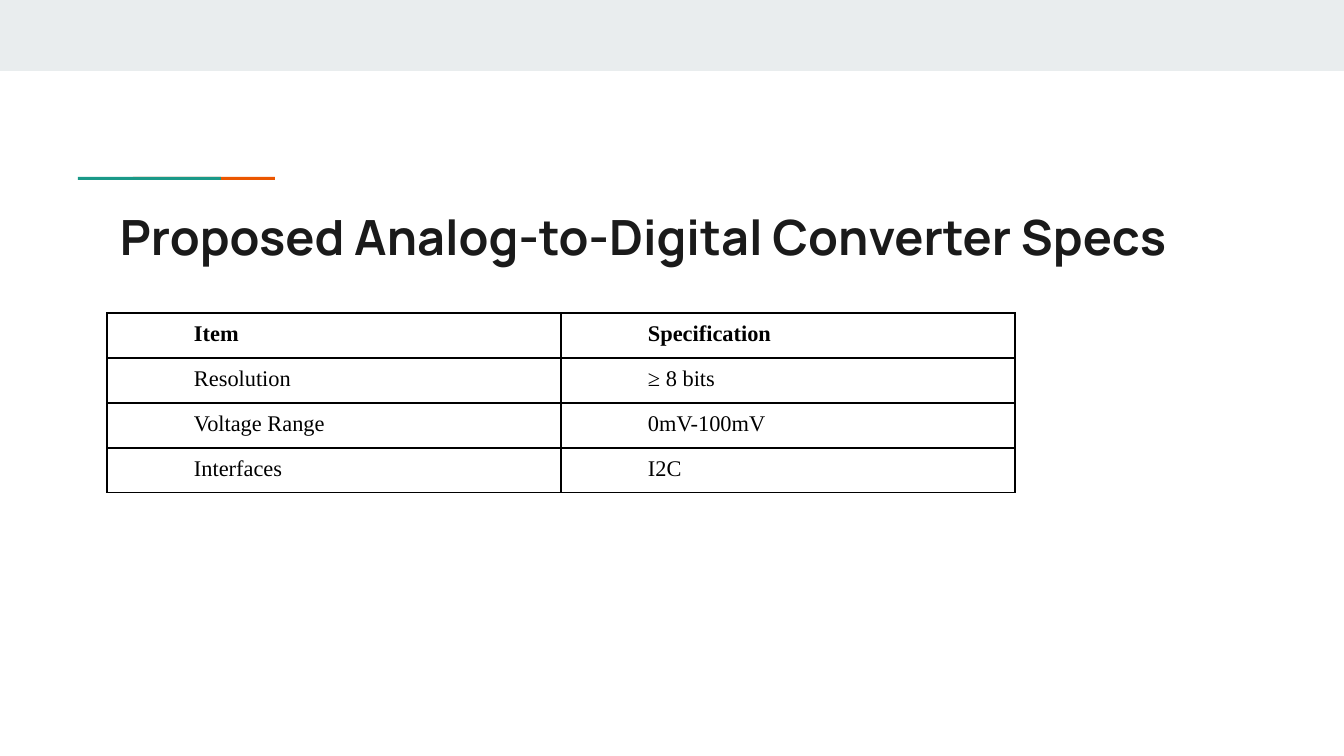
from pptx import Presentation
from pptx.dml.color import RGBColor
from pptx.enum.shapes import MSO_SHAPE
from pptx.enum.text import MSO_ANCHOR
from pptx.oxml import parse_xml
from pptx.oxml.ns import nsdecls
from pptx.util import Pt

EMU_PER_PX = 914400 / 134.4
COLORS = {
    "band": "E9EDEE",
    "orange": "EB5600",
    "teal": "1A9988",
    "title": "1A1A1A",
    "black": "000000",
}
SPECS = [
    ("Item", "Specification"),
    ("Resolution", "≥ 8 bits"),
    ("Voltage Range", "0mV-100mV"),
    ("Interfaces", "I2C"),
]
TITLE_FONT = {"name": "Manrope", "size": Pt(26), "bold": True}
CELL_FONT = {"name": "Times New Roman", "size": Pt(12)}
COL_W, ROW_H = 454, 43
CELL_INSET, CELL_INDENT = 9, 78


def px(n):
    return round(n * EMU_PER_PX)


def box(*lengths):
    return [px(n) for n in lengths]


def add_rect(s, color, *lengths):
    sp = s.shapes.add_shape(MSO_SHAPE.RECTANGLE, *box(*lengths))
    sp.shadow.inherit = False
    sp.fill.solid()
    sp.fill.fore_color.rgb = RGBColor.from_string(COLORS[color])
    sp.line.fill.background()


def set_insets(target, inset):
    for side in ("left", "top", "right", "bottom"):
        setattr(target, f"margin_{side}", px(inset))


def write(tf, text, font, color):
    r = tf.paragraphs[0].add_run()
    r.text = text
    for name, value in font.items():
        setattr(r.font, name, value)
    r.font.color.rgb = RGBColor.from_string(COLORS[color])


def add_title(s, text, *lengths):
    tf = s.shapes.add_textbox(*box(*lengths)).text_frame
    tf.word_wrap = True
    tf.vertical_anchor = MSO_ANCHOR.TOP
    set_insets(tf, 13)
    write(tf, text, TITLE_FONT, "title")


def add_borders(cell):
    """Put a 1 pt line on each side; lines must precede the fill in tcPr."""
    tc_pr = cell._tc.get_or_add_tcPr()
    for i, side in enumerate("LRTB"):
        tc_pr.insert(i, parse_xml(
            f'<a:ln{side} {nsdecls("a")} w="{Pt(1)}"><a:solidFill>'
            f'<a:srgbClr val="{COLORS["black"]}"/></a:solidFill></a:ln{side}>'))


def add_spec_table(s, left, top):
    n_rows, n_cols = len(SPECS), len(SPECS[0])
    table = s.shapes.add_table(
        n_rows, n_cols, *box(left, top, n_cols * COL_W, n_rows * ROW_H)).table
    table.horz_banding = False
    for i, row in enumerate(SPECS):
        for j, text in enumerate(row):
            cell = table.cell(i, j)
            set_insets(cell, CELL_INSET)
            cell.fill.background()
            add_borders(cell)
            write(cell.text_frame, text, {**CELL_FONT, "bold": i == 0}, "black")
            p_pr = cell.text_frame.paragraphs[0]._p.get_or_add_pPr()
            p_pr.set("marL", "0")
            p_pr.set("indent", str(px(CELL_INDENT)))


def main():
    prs = Presentation()
    prs.slide_width, prs.slide_height = box(1344, 756)
    s = prs.slides.add_slide(prs.slide_layouts[6])
    add_rect(s, "band", 0, 0, 1344, 71)
    add_rect(s, "orange", 133, 177, 142, 3)
    add_rect(s, "teal", 78, 177, 143, 3)
    add_title(s, "Proposed Analog-to-Digital Converter Specs", 107, 194, 1130, 79)
    add_spec_table(s, 107, 313)
    prs.save("out.pptx")


if __name__ == "__main__":
    main()
